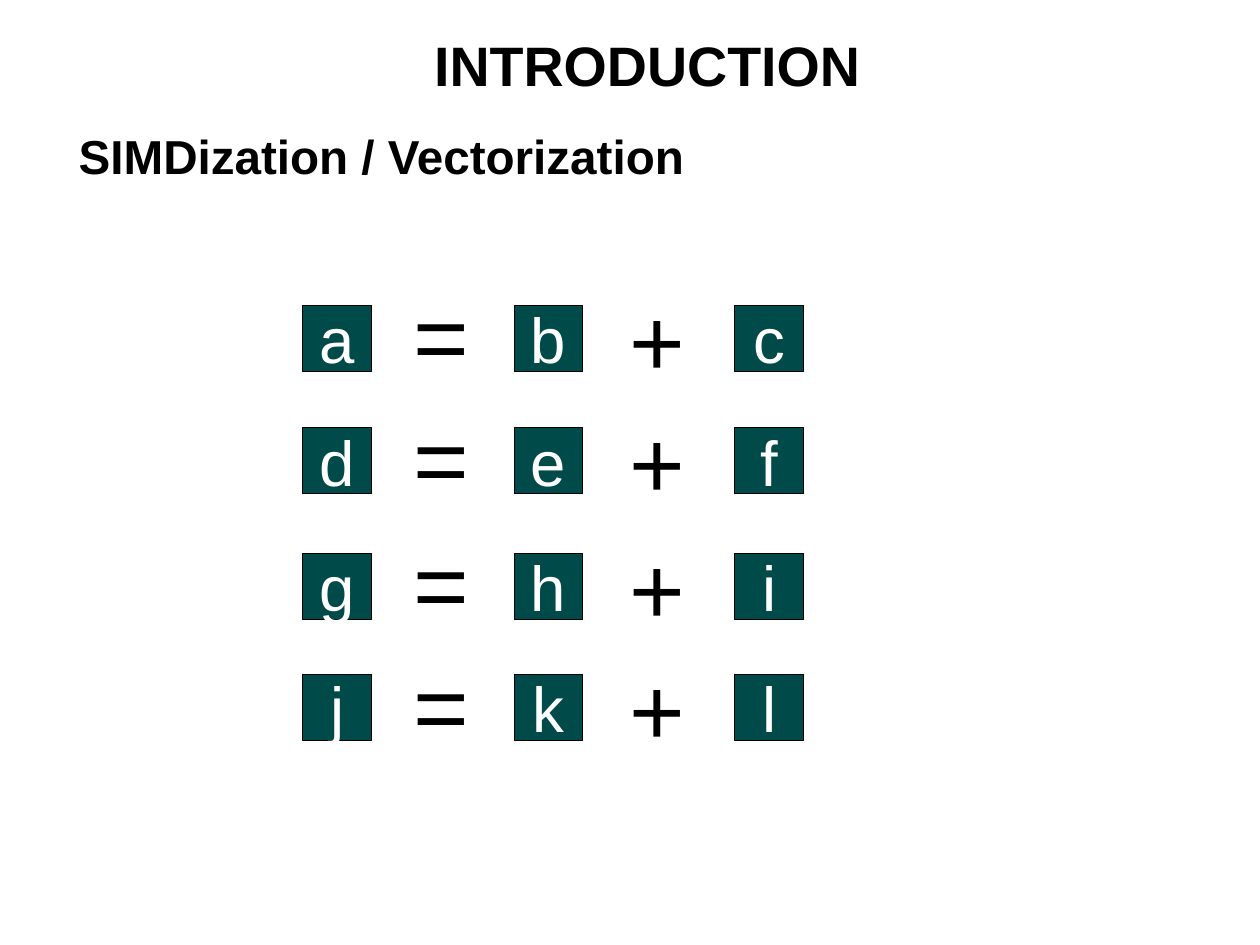
from pptx import Presentation
from pptx.dml.color import RGBColor
from pptx.enum.shapes import MSO_SHAPE
from pptx.enum.text import MSO_ANCHOR, MSO_AUTO_SIZE, PP_ALIGN
from pptx.util import Inches, Pt

CM_PER_INCH = 2.54
SLIDE_WIDTH, SLIDE_HEIGHT = 28 / CM_PER_INCH, 21 / CM_PER_INCH
BLACK, WHITE, TEAL = "000000", "FFFFFF", "004A4A"
BOX_WIDTH, BOX_HEIGHT = 0.6, 0.58
RESULT_LEFT, EQUALS_LEFT, FIRST_LEFT, PLUS_LEFT, SECOND_LEFT = 2.65, 3.52, 4.5, 5.41, 6.43
EQUALS_RISE = 0.04
EQUATIONS = [(2.67, "abc"), (3.74, "def"), (4.84, "ghi"), (5.9, "jkl")]


def color(hex_value):
    """Return the colour for a hex string."""
    return RGBColor.from_string(hex_value)


def write(shape, text, size, hex_value, bold=False):
    """Put one formatted line of text in a shape."""
    shape.text_frame.text = text
    shape.text_frame.word_wrap = True
    font = shape.text_frame.paragraphs[0].runs[0].font
    font.name, font.size, font.bold = "Arial", Pt(size), bold
    font.color.rgb = color(hex_value)


def add_heading(slide, text, left, top, width, height, size):
    """Add a bold heading."""
    box = slide.shapes.add_textbox(Inches(left), Inches(top), Inches(width), Inches(height))
    write(box, text, size, BLACK, bold=True)
    box.text_frame.auto_size = MSO_AUTO_SIZE.SHAPE_TO_FIT_TEXT


def add_box(slide, text, left, top, size, text_color, line_color):
    """Add a box with a centred symbol and return it."""
    box = slide.shapes.add_shape(
        MSO_SHAPE.RECTANGLE, Inches(left), Inches(top), Inches(BOX_WIDTH), Inches(BOX_HEIGHT)
    )
    box.shadow.inherit = False
    box.fill.background()
    box.line.color.rgb = color(line_color)
    box.line.width = Pt(0)
    write(box, text, size, text_color)
    box.text_frame.vertical_anchor = MSO_ANCHOR.MIDDLE
    box.text_frame.paragraphs[0].alignment = PP_ALIGN.CENTER
    return box


def add_variable(slide, name, left, top):
    """Add a teal box that holds a variable name."""
    box = add_box(slide, name, left, top, 40, WHITE, BLACK)
    box.fill.solid()
    box.fill.fore_color.rgb = color(TEAL)


def add_operator(slide, symbol, left, top):
    """Add a large operator sign."""
    add_box(slide, symbol, left, top, 60, BLACK, WHITE)


def add_equation(slide, top, names):
    """Add one row that adds two variables into a third."""
    for name, left in zip(names, (RESULT_LEFT, FIRST_LEFT, SECOND_LEFT)):
        add_variable(slide, name, left, top)
    add_operator(slide, "+", PLUS_LEFT, top)
    add_operator(slide, "=", EQUALS_LEFT, top - EQUALS_RISE)


def main():
    """Build the slide and save it."""
    presentation = Presentation()
    presentation.slide_width = Inches(SLIDE_WIDTH)
    presentation.slide_height = Inches(SLIDE_HEIGHT)
    slide = presentation.slides.add_slide(presentation.slide_layouts[6])
    add_heading(slide, "SIMDization / Vectorization", 0.59, 1.06, 9.65, 0.56, 30)
    add_heading(slide, "INTRODUCTION", 3.7, 0.22, 3.94, 0.64, 35)
    for top, names in EQUATIONS:
        add_equation(slide, top, names)
    presentation.save("out.pptx")


main()
